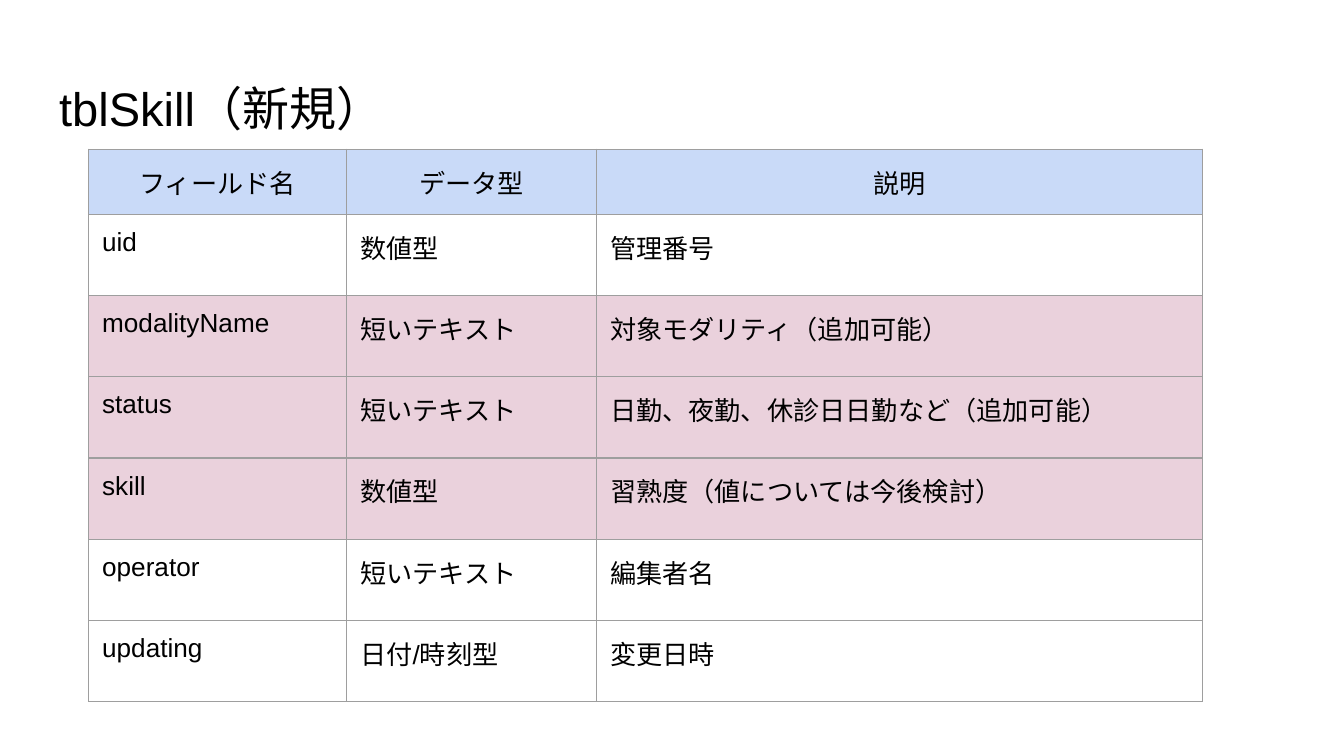
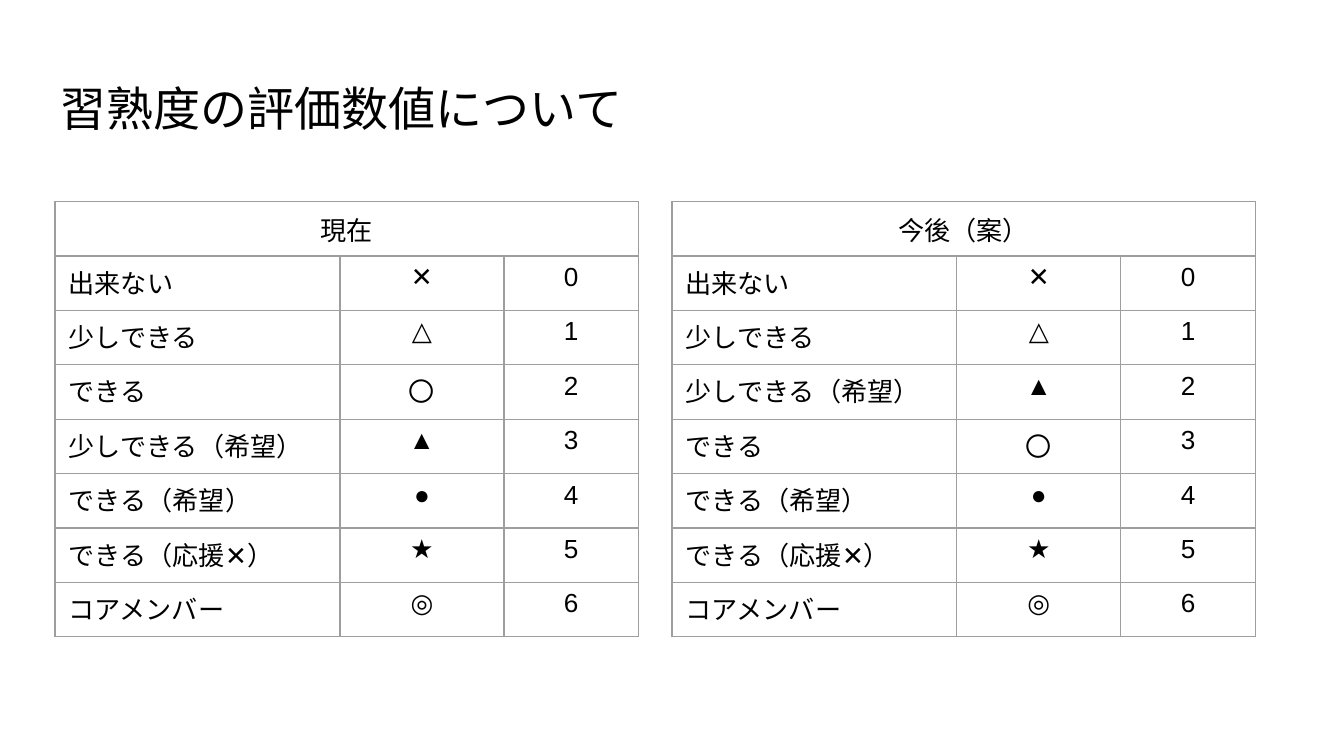
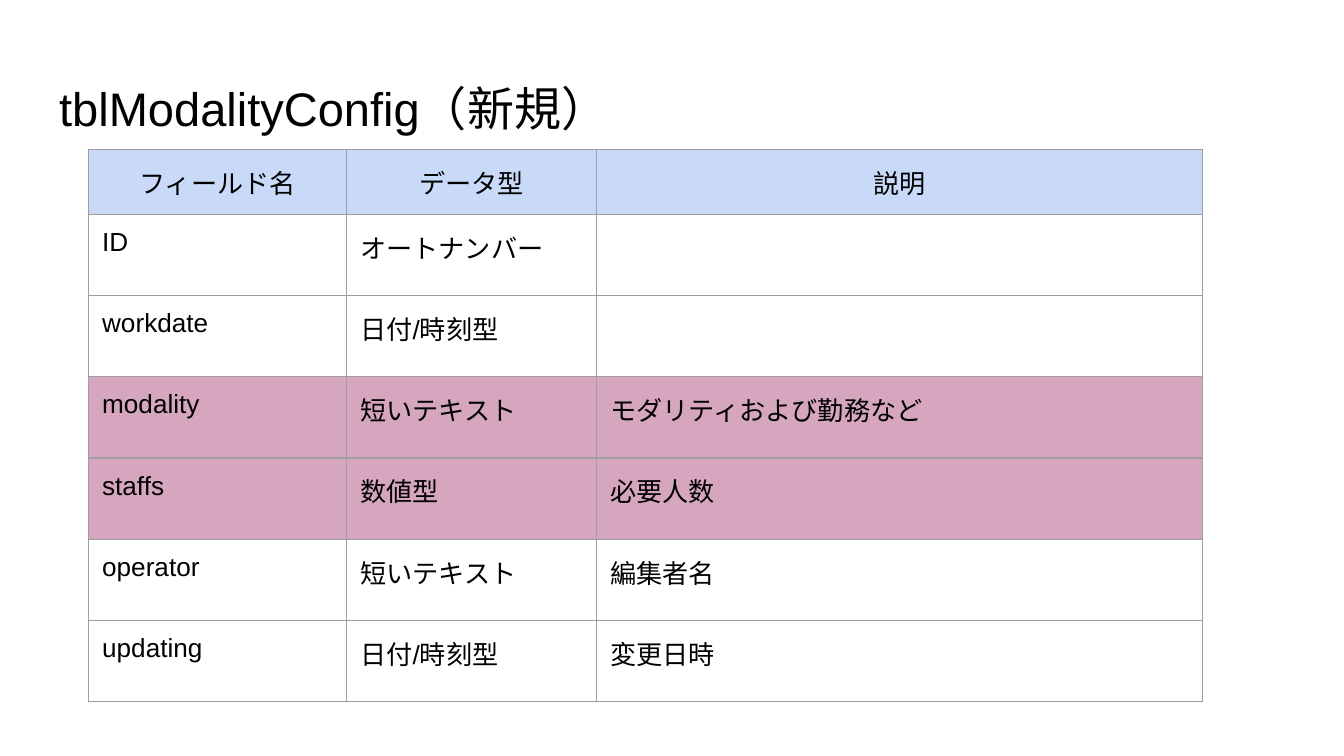
from lxml import etree
from pptx import Presentation, util as u
from pptx.dml.color import RGBColor
from pptx.enum import text
from pptx.oxml.ns import qn

# Shared look
BLACK = RGBColor(0x00, 0x00, 0x00)
WHITE = RGBColor(0xFF, 0xFF, 0xFF)
GRAY = RGBColor(0x9E, 0x9E, 0x9E)
BLUE = RGBColor(0xC9, 0xDA, 0xF8)
PINK = RGBColor(0xEA, 0xD1, 0xDC)
ROSE = RGBColor(0xD5, 0xA6, 0xBD)
FONT = "Arial"
LEFT, MID = text.PP_ALIGN.LEFT, text.PP_ALIGN.CENTER

# Content: field lists, each row with its fill
HEAD = (BLUE, "フィールド名", "データ型", "説明")
TAIL = [
    (None, "operator", "短いテキスト", "編集者名"),
    (None, "updating", "日付/時刻型", "変更日時"),
]
SKILL = [
    (None, "uid", "数値型", "管理番号"),
    (PINK, "modalityName", "短いテキスト", "対象モダリティ（追加可能）"),
    (PINK, "status", "短いテキスト", "日勤、夜勤、休診日日勤など（追加可能）"),
    (PINK, "skill", "数値型", "習熟度（値については今後検討）"),
]
CONFIG = [
    (None, "ID", "オートナンバー", ""),
    (WHITE, "workdate", "日付/時刻型", ""),
    (ROSE, "modality", "短いテキスト", "モダリティおよび勤務など"),
    (ROSE, "staffs", "数値型", "必要人数"),
]

# Content: grades, lowest first
MARKS = {
    "出来ない": "✕",
    "少しできる": "△",
    "できる": "〇",
    "少しできる（希望）": "▲",
    "できる（希望）": "●",
    "できる（応援✕）": "★",
    "コアメンバー": "◎",
}
NOW = list(MARKS)
PLAN = NOW[:2] + [NOW[3], NOW[2]] + NOW[4:]
SCALES = [("現在", NOW), ("今後（案）", PLAN)]

# Grid, in inches
FIELDS = dict(left=0.66, top=1.11, cols=(1.92, 1.86, 4.51))
GRADES = dict(top=1.5, cols=(2.12, 1.22, 1))
FIRST, STEP = 0.41, 4.59
HEADROW, TALL = 0.43, 4.06

# A 16:9 page
deck = Presentation()
deck.slide_width = u.Inches(10)
deck.slide_height = deck.slide_width * 9 // 16


def style(par, size, align):
    par.alignment = align
    par.font.size = u.Pt(size)
    par.font.name = FONT
    par.font.color.rgb = BLACK


def add_slide(name):
    slide = deck.slides.add_slide(deck.slide_layouts[5])
    box = slide.shapes.title
    box.left, box.top = u.Inches(0.34), u.Inches(0.49)
    box.width, box.height = u.Inches(9.32), u.Inches(0.63)
    frame = box.text_frame
    frame.text = name
    frame.word_wrap = True
    frame.auto_size = text.MSO_AUTO_SIZE.NONE
    frame.vertical_anchor = text.MSO_ANCHOR.MIDDLE
    frame.margin_left = frame.margin_right = u.Inches(0.1)
    frame.margin_top = frame.margin_bottom = u.Inches(0.1)
    style(frame.paragraphs[0], 25.2, LEFT)
    return slide


def border(cell):
    props = cell._tc.get_or_add_tcPr()
    for side in ("lnL", "lnR", "lnT", "lnB"):
        line = etree.SubElement(props, qn("a:" + side), w=str(u.Pt(0.75)))
        fill = etree.SubElement(line, qn("a:solidFill"))
        etree.SubElement(fill, qn("a:srgbClr"), val=str(GRAY))


def add_grid(slide, rows, left, top, cols, highs, pad, aligns):
    """Rows start with their fill; the first row is centred."""
    grid = slide.shapes.add_table(
        len(rows), len(cols), u.Inches(left), u.Inches(top),
        u.Inches(sum(cols)), u.Inches(sum(highs))).table
    grid.first_row = grid.horz_banding = False
    for col, wide in zip(grid.columns, cols):
        col.width = u.Inches(wide)
    for r, (fill, *words) in enumerate(rows):
        grid.rows[r].height = u.Inches(highs[r])
        for c, word in enumerate(words):
            cell = grid.cell(r, c)
            if word:
                cell.text = word
            cell.margin_left = cell.margin_right = u.Inches(0.1)
            cell.margin_top = cell.margin_bottom = u.Inches(pad)
            style(cell.text_frame.paragraphs[0], 14, aligns[c] if r else MID)
            border(cell)
            if fill is None:
                cell.fill.background()
            else:
                cell.fill.solid()
                cell.fill.fore_color.rgb = fill
    return grid


def field_slide(name, rows):
    rows = [HEAD] + rows + TAIL
    count = len(rows) - 1
    highs = [HEADROW] + [(TALL - HEADROW) / count] * count
    add_grid(add_slide(name), rows, highs=highs, pad=0.1,
             aligns=(LEFT,) * 3, **FIELDS)


def grade_slide(name):
    slide = add_slide(name)
    for i, (head, names) in enumerate(SCALES):
        rows = [(None, head, "", "")]
        rows += [(None, n, MARKS[n], str(k)) for k, n in enumerate(names)]
        grid = add_grid(slide, rows, left=FIRST + i * STEP,
                        highs=[3.24 / len(rows)] * len(rows), pad=0.05,
                        aligns=(LEFT, MID, MID), **GRADES)
        top = grid.cell(0, 0)
        top.merge(grid.cell(0, 2))
        top.vertical_anchor = text.MSO_ANCHOR.MIDDLE


# Slides
field_slide("tblSkill（新規）", SKILL)
grade_slide("習熟度の評価数値について")
field_slide("tblModalityConfig（新規）", CONFIG)
deck.save("out.pptx")
